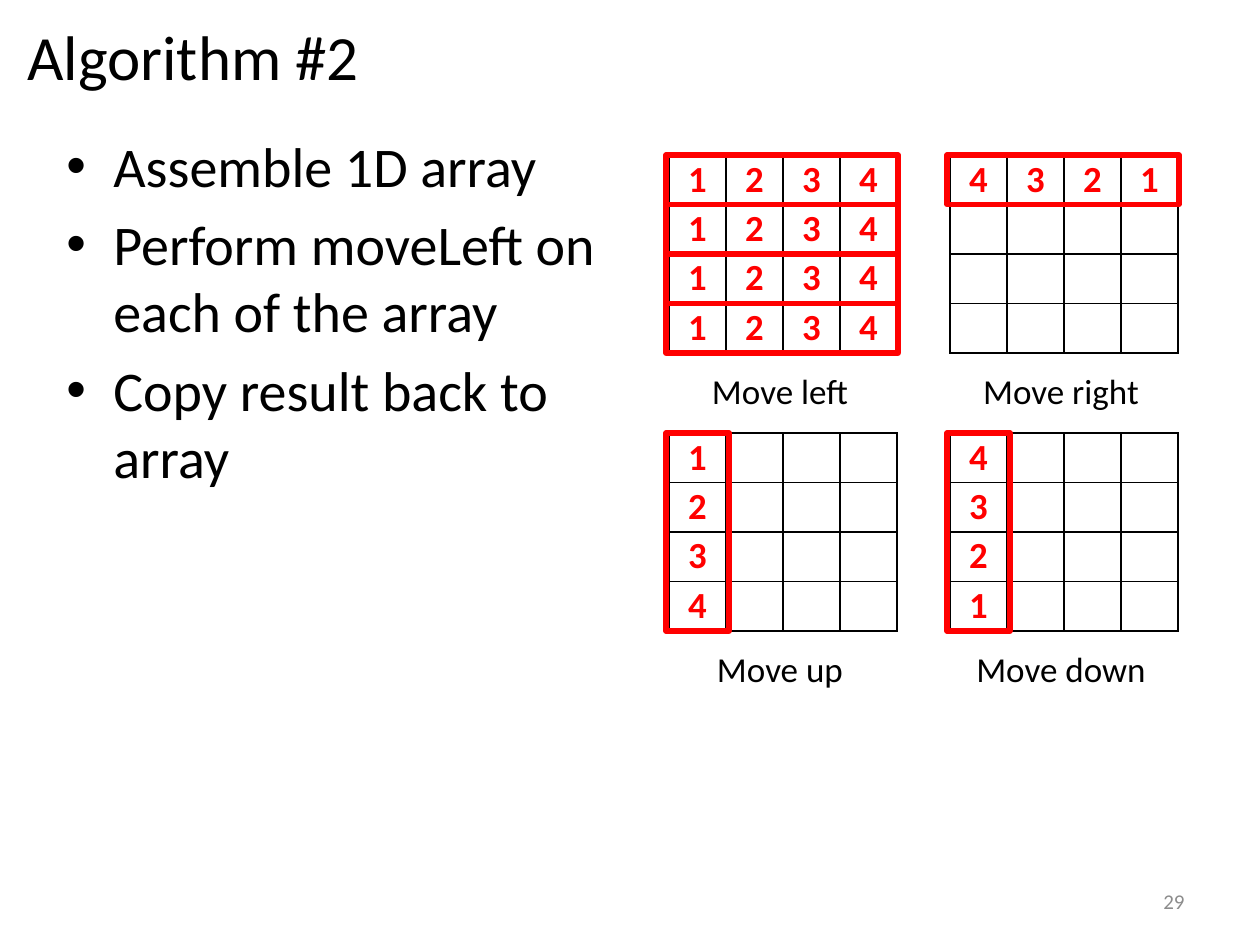
from dataclasses import dataclass

from lxml import etree
from pptx import Presentation
from pptx import util as u
from pptx.dml.color import RGBColor
from pptx.enum import shapes, text
from pptx.oxml import ns

BLACK = RGBColor(0x00, 0x00, 0x00)
RED = RGBColor(0xFF, 0x00, 0x00)
GRAY = RGBColor(0x8C, 0x8C, 0x8C)
FONT = "Calibri"

PX_PER_INCH = 126
GRID_COUNT = 4
GRID_WIDTH = 228
GRID_HEIGHT = 198
GRID_LEFTS = (669, 950)
GRID_TOPS = (155, 433)
OUTLINE_OFFSET = 3
ROW_OUTLINE_WIDTH = 232
COLUMN_OUTLINE_WIDTH = 63
BULLET_INDENT = 47

BULLETS = (
    "Assemble 1D array",
    "Perform moveLeft on each of the array",
    "Copy result back to array",
)


@dataclass(frozen=True)
class MoveGrid:
    caption: str
    left: int
    top: int
    rows: tuple[str, ...]
    outlined_rows: int = 0


GRIDS = (
    MoveGrid("Move left", GRID_LEFTS[0], GRID_TOPS[0], ("1234",) * GRID_COUNT, GRID_COUNT),
    MoveGrid("Move right", GRID_LEFTS[1], GRID_TOPS[0], ("4321", "", "", ""), 1),
    MoveGrid("Move up", GRID_LEFTS[0], GRID_TOPS[1], tuple("1234")),
    MoveGrid("Move down", GRID_LEFTS[1], GRID_TOPS[1], tuple("4321")),
)


def px(pixels: int) -> u.Emu:
    return u.Emu(round(pixels * 914400 / PX_PER_INCH))


def style_paragraph(paragraph, size: int, color=BLACK, bold=False, align=text.PP_ALIGN.LEFT) -> None:
    paragraph.alignment = align
    paragraph.font.name = FONT
    paragraph.font.size = u.Pt(size)
    paragraph.font.bold = bold
    paragraph.font.color.rgb = color


def add_text(slide, left: int, top: int, width: int, height: int, content: str,
             size: int, color=BLACK, align=text.PP_ALIGN.LEFT, anchor=text.MSO_ANCHOR.TOP) -> None:
    frame = slide.shapes.add_textbox(px(left), px(top), px(width), px(height)).text_frame
    frame.word_wrap = True
    frame.vertical_anchor = anchor
    frame.text = content
    for paragraph in frame.paragraphs:
        style_paragraph(paragraph, size, color, align=align)


def add_bullets(slide) -> None:
    frame = slide.shapes.add_textbox(px(54), px(125), px(593), px(753)).text_frame
    frame.word_wrap = True
    frame.text = "\n".join(BULLETS)
    for index, paragraph in enumerate(frame.paragraphs):
        if index:
            paragraph.space_before = u.Pt(6.4)
        properties = paragraph._p.get_or_add_pPr()
        properties.set("marL", str(px(BULLET_INDENT)))
        properties.set("indent", str(-px(BULLET_INDENT)))
        etree.SubElement(properties, ns.qn("a:buFont"), typeface="Arial")
        etree.SubElement(properties, ns.qn("a:buChar"), char="•")
        style_paragraph(paragraph, 32)


def add_borders(cell) -> None:
    properties = cell._tc.get_or_add_tcPr()
    for side in ("lnL", "lnR", "lnT", "lnB"):
        line = etree.SubElement(properties, ns.qn(f"a:{side}"), w=str(u.Pt(1)))
        fill = etree.SubElement(line, ns.qn("a:solidFill"))
        etree.SubElement(fill, ns.qn("a:srgbClr"), val=str(BLACK))


def add_table(slide, grid: MoveGrid) -> None:
    table = slide.shapes.add_table(
        GRID_COUNT, GRID_COUNT, px(grid.left), px(grid.top), px(GRID_WIDTH), px(GRID_HEIGHT)
    ).table
    table.first_row = False
    table.horz_banding = False
    for row_index, digits in enumerate(grid.rows):
        for column_index, digit in enumerate(digits.ljust(GRID_COUNT)):
            cell = table.cell(row_index, column_index)
            add_borders(cell)
            cell.fill.background()
            cell.margin_left = cell.margin_right = px(4)
            cell.margin_top = cell.margin_bottom = px(2)
            cell.text = digit.strip()
            style_paragraph(cell.text_frame.paragraphs[0], 21, RED, True, text.PP_ALIGN.CENTER)


def add_outline(slide, left: int, top: u.Emu, width: int, height: u.Emu) -> None:
    shape = slide.shapes.add_shape(shapes.MSO_SHAPE.RECTANGLE, px(left), top, px(width), height)
    shape.shadow.inherit = False
    shape.fill.background()
    shape.line.color.rgb = RED
    shape.line.width = u.Pt(3)


def add_grid(slide, grid: MoveGrid) -> None:
    add_table(slide, grid)
    add_text(slide, grid.left - 13, grid.top + 208, 248, 55, grid.caption, 20,
             align=text.PP_ALIGN.CENTER)
    left = grid.left - OUTLINE_OFFSET
    if not grid.outlined_rows:
        add_outline(slide, left, px(grid.top), COLUMN_OUTLINE_WIDTH, px(GRID_HEIGHT))
    row_height = u.Emu(px(GRID_HEIGHT) // GRID_COUNT)
    for index in range(grid.outlined_rows):
        top = u.Emu(px(grid.top) + index * row_height)
        add_outline(slide, left, top, ROW_OUTLINE_WIDTH, row_height)


def main() -> None:
    presentation = Presentation()
    presentation.slide_width = px(1260)
    presentation.slide_height = px(945)
    slide = presentation.slides.add_slide(presentation.slide_layouts[6])
    add_text(slide, 15, 11, 427, 89, "Algorithm #2", 36)
    add_bullets(slide)
    for grid in GRIDS:
        add_grid(slide, grid)
    add_text(slide, 903, 876, 294, 50, "29", 12, GRAY,
             text.PP_ALIGN.RIGHT, text.MSO_ANCHOR.MIDDLE)
    presentation.save("out.pptx")


if __name__ == "__main__":
    main()
